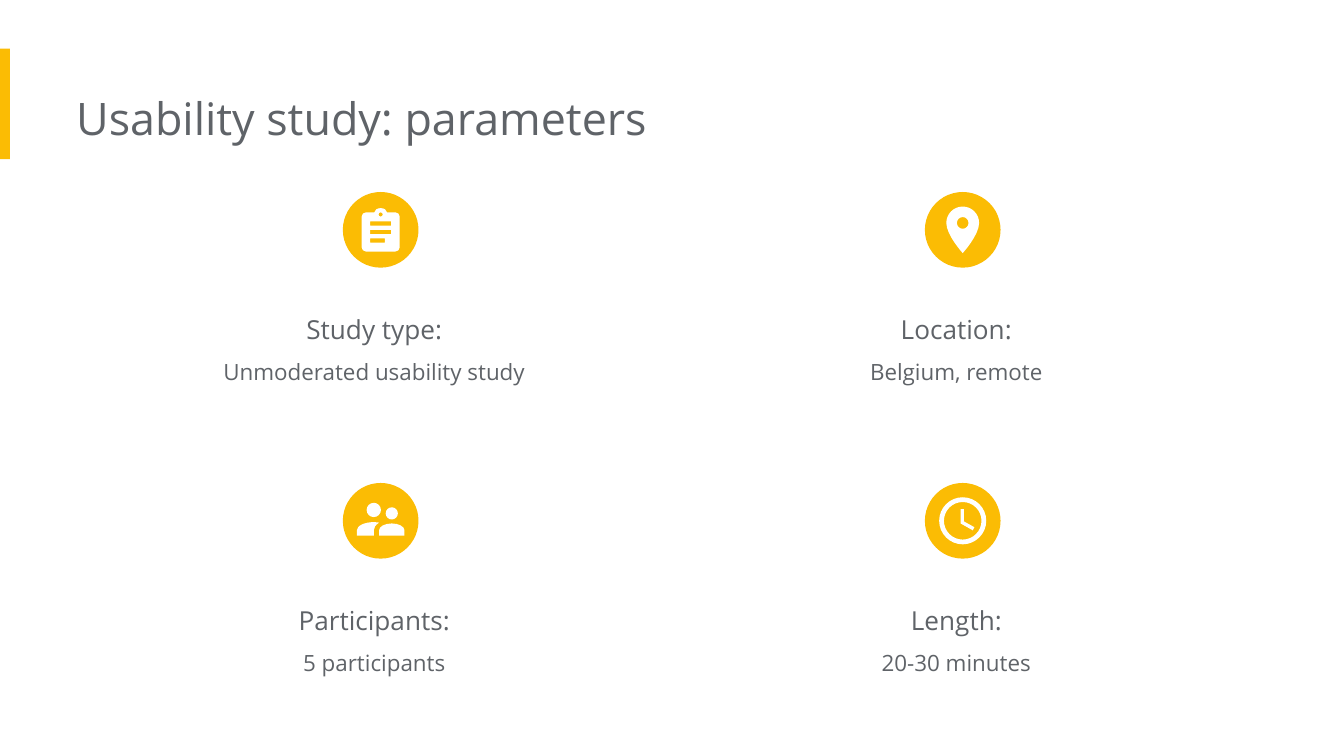
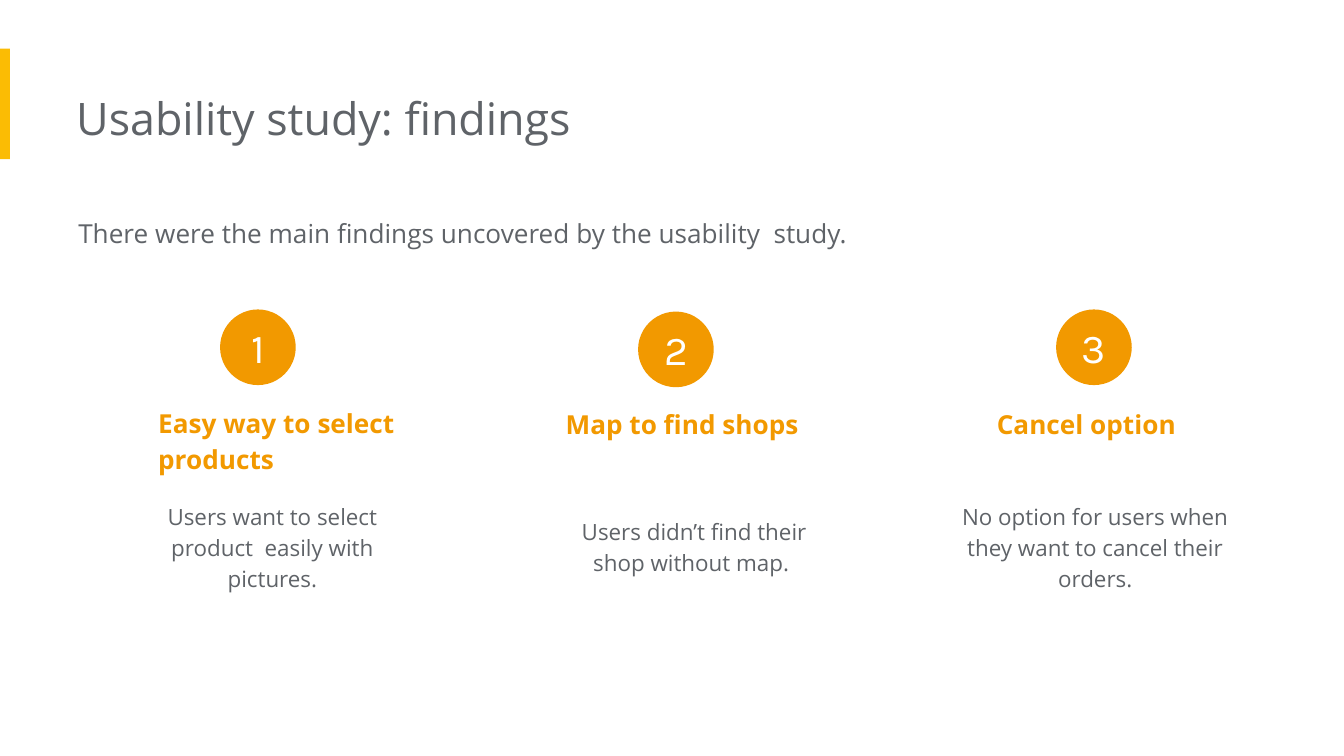
import math

import lxml.etree
import pptx
import pptx.dml.color
import pptx.enum.shapes
import pptx.enum.text
import pptx.oxml.ns
import pptx.util

Cm = pptx.util.Cm
Pt = pptx.util.Pt
SHAPE = pptx.enum.shapes.MSO_SHAPE
ALIGN = pptx.enum.text.PP_ALIGN

YELLOW = "FBBC04"
ORANGE = "F29900"
GREY = "5F6368"
WHITE = "FFFFFF"
BODY_FONT = "Open Sans"
NUMBER_FONT = "Karla"
DISC = 1.43
QUARTER_HANDLE = 0.55


def colour(hex_value):
    return pptx.dml.color.RGBColor.from_string(hex_value)


def paint(shape, hex_value):
    shape.shadow.inherit = False
    shape.fill.solid()
    shape.fill.fore_color.rgb = colour(hex_value)
    shape.line.fill.background()
    return shape


def style(paragraph, size, hex_value, font=BODY_FONT, bold=False, align=ALIGN.LEFT, spacing=1.0):
    paragraph.alignment = align
    paragraph.line_spacing = spacing
    paragraph.font.name = font
    paragraph.font.size = Pt(size)
    paragraph.font.bold = bold
    paragraph.font.color.rgb = colour(hex_value)


def add_text(slide, left, top, width, height, lines, hex_value=GREY, indent=0, **look):
    frame = slide.shapes.add_textbox(Cm(left), Cm(top), Cm(width), Cm(height)).text_frame
    frame.word_wrap = True
    frame.auto_size = pptx.enum.text.MSO_AUTO_SIZE.SHAPE_TO_FIT_TEXT
    frame.margin_left = Cm(indent)
    frame.margin_top = frame.margin_right = frame.margin_bottom = Cm(0.25)
    for index, (text, size) in enumerate(lines):
        paragraph = frame.paragraphs[0] if index == 0 else frame.add_paragraph()
        paragraph.text = text
        style(paragraph, size, hex_value, **look)


def add_disc(slide, left, top, hex_value):
    disc = slide.shapes.add_shape(SHAPE.OVAL, Cm(left), Cm(top), Cm(DISC), Cm(DISC))
    return paint(disc, hex_value)


def add_numbered_disc(slide, left, top, number):
    frame = add_disc(slide, left, top, ORANGE).text_frame
    frame.margin_left = frame.margin_top = frame.margin_right = frame.margin_bottom = 0
    frame.vertical_anchor = pptx.enum.text.MSO_ANCHOR.MIDDLE
    frame.text = str(number)
    style(frame.paragraphs[0], 22, WHITE, font=NUMBER_FONT, align=ALIGN.CENTER)


def lines_through(*points):
    return [(point,) for point in points]


def arc(x, y, rx, ry, start=0, quarters=4):
    def place(along, across, angle):
        cos, sin = math.cos(angle), math.sin(angle)
        return x + rx * (along * cos - across * sin), y + ry * (along * sin + across * cos)

    steps = lines_through(place(1, 0, math.radians(start)))
    for quarter in range(quarters):
        angle = math.radians(start + 90 * quarter)
        steps.append((place(1, QUARTER_HANDLE, angle), place(QUARTER_HANDLE, 1, angle),
                      place(0, 1, angle)))
    return steps


def circle(x, y, radius):
    return arc(x, y, radius, radius)


def bar(left, top, right, bottom):
    return lines_through((left, top), (right, top), (right, bottom), (left, bottom))


def clipboard_icon():
    board = (arc(-2.8, -2.5, 0.8, 0.8, 180, 1) + arc(0, -3.3, 1.2, 0.8, 180, 2)
             + arc(2.8, -2.5, 0.8, 0.8, 270, 1) + arc(2.8, 3.3, 0.8, 0.8, 0, 1)
             + arc(-2.8, 3.3, 0.8, 0.8, 90, 1))
    rows = [bar(-2, -1.6 + 1.6 * i, right, -0.8 + 1.6 * i) for i, right in enumerate((2, 2, 0.8))]
    return [board, circle(0, -2.9, 0.4)] + rows


def pin_icon():
    tip = (0, 4.4)
    outline = arc(0, -1.3, 3.1, 3.1, 180, 2) + [
        ((3.1, 1), tip, tip), (tip, (-3.1, 1), (-3.1, -1.3))]
    return [outline, circle(0, -1.3, 1.1)]


def people_icon():
    front = arc(2.1, 1.8, 2.4, 1.3, 180, 2) + lines_through((4.5, 2.8), (-0.3, 2.8))
    back = arc(-1.3, 1.8, 3.2, 1.55, 180, 1) + [
        ((-1, 0.25), (-0.6, 0.3), (-0.3, 0.35)), ((-1, 0.8), (-1.3, 1.3), (-1.3, 1.8))]
    back += lines_through((-1.3, 2.8), (-4.5, 2.8))
    return [circle(2.1, -1.4, 1.15), circle(-1.3, -2.05, 1.35), front, back]


def clock_icon():
    hands = lines_through((-0.4, -2.2), (-0.4, 0.5), (1.9, 1.8), (2.2, 1.2),
                          (0.2, 0.1), (0.2, -2.2))
    return [circle(0, 0, 4.45), circle(0, 0, 3.55), hands]


def bend(shape, steps):
    segments = iter(list(shape.element.iter(pptx.oxml.ns.qn("a:lnTo"))))
    for step in steps:
        group = [next(segments) for _ in step]
        if len(group) == 3:
            curve = lxml.etree.Element(pptx.oxml.ns.qn("a:cubicBezTo"))
            group[0].addprevious(curve)
            for segment in group:
                curve.append(segment[0])
                segment.getparent().remove(segment)


def add_icon(slide, left, top, contours):
    centre_x, centre_y = left + DISC / 2, top + DISC / 2
    builder = None
    for contour in contours:
        points = [(Cm(centre_x + x / 10), Cm(centre_y + y / 10))
                  for step in contour for x, y in step]
        if builder is None:
            builder = slide.shapes.build_freeform(*points[0])
        else:
            builder.move_to(*points[0])
        builder.add_line_segments(points[1:], close=True)
    icon = paint(builder.convert_to_shape(), WHITE)
    bend(icon, [step for contour in contours for step in contour[1:]])


def add_titled_slide(deck, title):
    slide = deck.slides.add_slide(deck.slide_layouts[6])
    add_text(slide, 1.44, 1.46, 17.1, 1.55, [(title, 24)])
    return slide


def put_accent_on_layout(slide):
    accent = slide.shapes.add_shape(SHAPE.RECTANGLE, 0, Cm(0.92), Cm(0.19), Cm(2.09))
    paint(accent, YELLOW)
    slide.slide_layout.shapes.element.append(accent.element)


def add_parameters(deck):
    slide = add_titled_slide(deck, "Usability study: parameters")
    put_accent_on_layout(slide)
    parameters = [
        ("Study type:", "Unmoderated usability study", 1.93, clipboard_icon()),
        ("Location:", "Belgium, remote", 2.18, pin_icon()),
        ("Participants:", "5 participants", 1.93, people_icon()),
        ("Length:", "20-30 minutes", 1.93, clock_icon()),
    ]
    icons = []
    for index, (label, value, height, contours) in enumerate(parameters):
        row, column = divmod(index, 2)
        x, y = 11 * column, 5.5 * row
        add_text(slide, 2.41 + x, 5.37 + y, 9.58, height, [(label, 14), (value, 12)],
                 align=ALIGN.CENTER, spacing=1.5)
        add_disc(slide, 6.48 + x, 3.63 + y, YELLOW)
        icons.append((6.48 + x, 3.63 + y, contours))
    for left, top, contours in icons:
        add_icon(slide, left, top, contours)


def add_findings(deck):
    slide = add_titled_slide(deck, "Usability study: findings")
    add_text(slide, 1.48, 3.77, 18.03, 1.19,
             [("There were the main findings uncovered by the usability  study.", 14)],
             spacing=1.15)
    headings = [
        ("Easy way to select products", 2.99, 7.37, 1.88, 0),
        ("Map to find shops", 10.18, 7.39, 1.19, 0.51),
        ("Cancel option", 18.08, 7.39, 1.19, 0.76),
    ]
    details = [
        ("Users want to select product  easily with pictures.", 2.52, 9.18, 2.29),
        ("Users didn’t find their shop without map. ", 10.49, 9.47, 1.7),
        ("No option for users when they want to cancel their orders.", 18.07, 9.18, 2.29),
    ]
    for heading, left, top, height, indent in headings:
        add_text(slide, left, top, 5.21, height, [(heading, 14)], ORANGE,
                 indent=indent, bold=True, spacing=1.15)
    for detail, left, top, height in details:
        add_text(slide, left, top, 5.51, height, [(detail, 12)],
                 align=ALIGN.CENTER, spacing=1.15)
    for index, top in enumerate((5.85, 5.89, 5.85)):
        add_numbered_disc(slide, 4.16 + 7.9 * index, top, index + 1)


def main():
    deck = pptx.Presentation()
    deck.slide_width = Cm(25.4)
    deck.slide_height = Cm(14.29)
    add_parameters(deck)
    add_findings(deck)
    deck.save("out.pptx")


if __name__ == "__main__":
    main()
